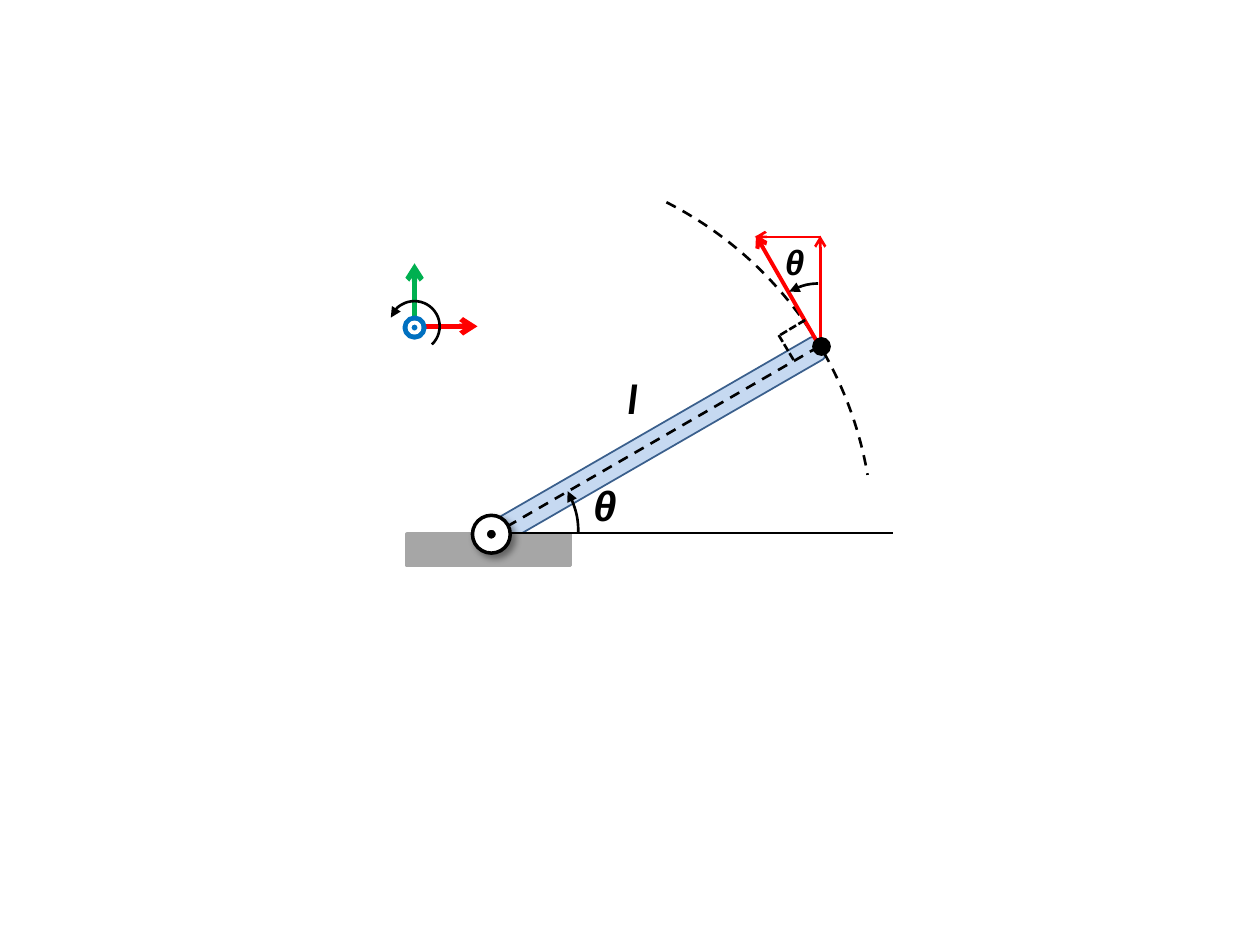
from dataclasses import dataclass

from lxml import etree
from pptx import Presentation
from pptx import util as u
from pptx.dml.color import RGBColor
from pptx.enum import dml, shapes, text
from pptx.oxml.ns import qn


@dataclass(frozen=True)
class Theme:
    """Colours, line widths and type sizes of the diagram."""
    black: str = "000000"
    white: str = "FFFFFF"
    grey: str = "A6A6A6"
    rod: str = "C6D9F1"
    rod_edge: str = "3A5F8C"
    red: str = "FF0000"
    green: str = "00B050"
    blue: str = "0070C0"
    thin: float = 1.5
    medium: float = 2.25
    thick: float = 3
    label: int = 24
    small_label: int = 20


THEME = Theme()
KIND = shapes.MSO_SHAPE
DASH = dml.MSO_LINE.DASH
SHORT_DASH = dml.MSO_LINE.SQUARE_DOT


def style_line(line, color, width, dash=None):
    """Give an outline its colour, width and dash."""
    line.color.rgb = RGBColor.from_string(color)
    line.width = u.Pt(width)
    if dash:
        line.dash_style = dash


def add_arrowhead(shape, end, kind):
    """Put an arrowhead on the headEnd or tailEnd of a shape's line."""
    outline = shape.line._get_or_add_ln()
    etree.SubElement(outline, qn(f"a:{end}"), type=kind)


def add_figure(parent, kind, place, fill=None, line=None, width=THEME.thin):
    """Add a preset shape with a plain fill and outline."""
    shape = parent.add_shape(kind, *(u.Inches(length) for length in place))
    shape.shadow.inherit = False
    if fill:
        shape.fill.solid()
        shape.fill.fore_color.rgb = RGBColor.from_string(fill)
    else:
        shape.fill.background()
    if line:
        style_line(shape.line, line, width)
    else:
        shape.line.fill.background()
    return shape


def add_circle(parent, center, diameter, fill, line=None, width=THEME.thin):
    """Add a circle around a center point."""
    left, top = (middle - diameter / 2 for middle in center)
    place = (left, top, diameter, diameter)
    return add_figure(parent, KIND.OVAL, place, fill, line, width)


def add_arc(parent, center, radius, angles, dash=None, head=None):
    """Add an arc whose angles run clockwise in degrees."""
    left, top = (middle - radius for middle in center)
    place = (left, top, 2 * radius, 2 * radius)
    arc = add_figure(parent, KIND.ARC, place, line=THEME.black)
    for index, angle in enumerate(angles):
        arc.adjustments[index] = angle * 0.6
    if dash:
        arc.line.dash_style = dash
    if head:
        add_arrowhead(arc, "headEnd", head)


def add_line(parent, start, end, color=THEME.black, width=THEME.thin,
             dash=None, tail=None):
    """Add a straight line, optionally dashed or ending in an arrowhead."""
    points = (u.Inches(length) for length in (*start, *end))
    line = parent.add_connector(shapes.MSO_CONNECTOR.STRAIGHT, *points)
    etree.SubElement(line._element.spPr, qn("a:effectLst"))
    style_line(line.line, color, width, dash)
    if tail:
        add_arrowhead(line, "tailEnd", tail)


def add_label(parent, words, place, font, size):
    """Add a bold italic symbol."""
    box = parent.add_textbox(*(u.Inches(length) for length in place))
    frame = box.text_frame
    frame.word_wrap = False
    frame.auto_size = text.MSO_AUTO_SIZE.SHAPE_TO_FIT_TEXT
    frame.text = words
    span = frame.paragraphs[0].runs[0]
    span.font.name = font
    span.font.size = u.Pt(size)
    span.font.bold = span.font.italic = True
    span.font.color.rgb = RGBColor.from_string(THEME.black)


def add_drop_shadow(shape):
    """Add a soft shadow down and to the right."""
    effects = shape._element.spPr.find(qn("a:effectLst"))
    shadow = etree.SubElement(
        effects, qn("a:outerShdw"), blurRad=str(u.Pt(4)), dist=str(u.Pt(3)),
        dir=str(45 * 60000), algn="tl", rotWithShape="0")
    color = etree.SubElement(shadow, qn("a:srgbClr"), val=THEME.black)
    etree.SubElement(color, qn("a:alpha"), val="40000")


def add_arm(canvas):
    """Draw the rod, its base, its angle and the path of its tip."""
    rod = add_figure(canvas, KIND.ROUNDED_RECTANGLE, (5.11, 2, 0.2, 3),
                     THEME.rod, THEME.rod_edge, 1)
    rod.rotation = 60
    add_figure(canvas, KIND.RECTANGLE, (3.23, 4.24, 1.3, 0.25),
               THEME.grey, THEME.grey, 2)
    add_line(canvas, (3.89, 4.23), (7.09, 4.23))
    add_arc(canvas, (3.93, 4.28), 3, (296.95, 350.21), dash=DASH)
    add_label(canvas, "θ", (4.61, 3.76, 0.38, 0.5), "Arial", THEME.label)
    add_label(canvas, "l", (4.88, 2.91, 0.35, 0.5), "Calibri", THEME.label)
    add_line(canvas, (6.5, 2.75), (3.9, 4.25), dash=DASH)


def add_pivot(canvas):
    """Draw the pivot and the arrow of the rod's angle."""
    pivot = canvas.add_group_shape().shapes
    center = (3.9, 4.24)
    hub = add_circle(pivot, center, 0.3, THEME.white, THEME.black, 2)
    add_drop_shadow(hub)
    add_circle(pivot, center, 0.1, THEME.black, THEME.white, 2)
    add_arc(canvas, (3.9, 4.23), 0.69, (331.26, 0), head="triangle")


def add_velocity(canvas):
    """Draw the tip's velocity, its components and the right angle."""
    for start, end, width in (
            ((6.52, 1.88), (5.99, 1.88), THEME.thin),
            ((6.51, 2.74), (6.51, 1.87), THEME.thin),
            ((6.5, 2.74), (6, 1.87), THEME.medium)):
        add_line(canvas, start, end, THEME.red, width, tail="arrow")
    add_arc(canvas, (6.51, 2.75), 0.5, (240.54, 268.18), head="triangle")
    add_label(canvas, "θ", (6.13, 1.86, 0.35, 0.44), "Arial",
              THEME.small_label)
    add_line(canvas, (6.39, 2.54), (6.19, 2.66), dash=SHORT_DASH)
    add_line(canvas, (6.18, 2.66), (6.3, 2.86), dash=SHORT_DASH)
    add_circle(canvas, (6.52, 2.75), 0.15, THEME.black)


def add_axes(canvas):
    """Draw the coordinate axes and the positive turning direction."""
    axes = canvas.add_group_shape().shapes
    origin = (3.29, 2.59)
    for end, color in (((3.79, 2.59), THEME.red), ((3.29, 2.09), THEME.green)):
        add_line(axes, origin, end, color, THEME.thick, tail="arrow")
    center = (3.29, 2.6)
    add_circle(axes, center, 0.15, THEME.white, THEME.blue, THEME.thick)
    add_circle(axes, center, 0.08, THEME.blue, THEME.white, THEME.medium)
    add_arc(axes, origin, 0.2, (200.1, 46.18), head="triangle")


def main():
    """Build the slide and save it."""
    deck = Presentation()
    deck.slide_width, deck.slide_height = u.Inches(10), u.Inches(7.5)
    page = deck.slides.add_slide(deck.slide_layouts[6])
    for add_part in (add_arm, add_pivot, add_velocity, add_axes):
        add_part(page.shapes)
    deck.save("out.pptx")


if __name__ == "__main__":
    main()
